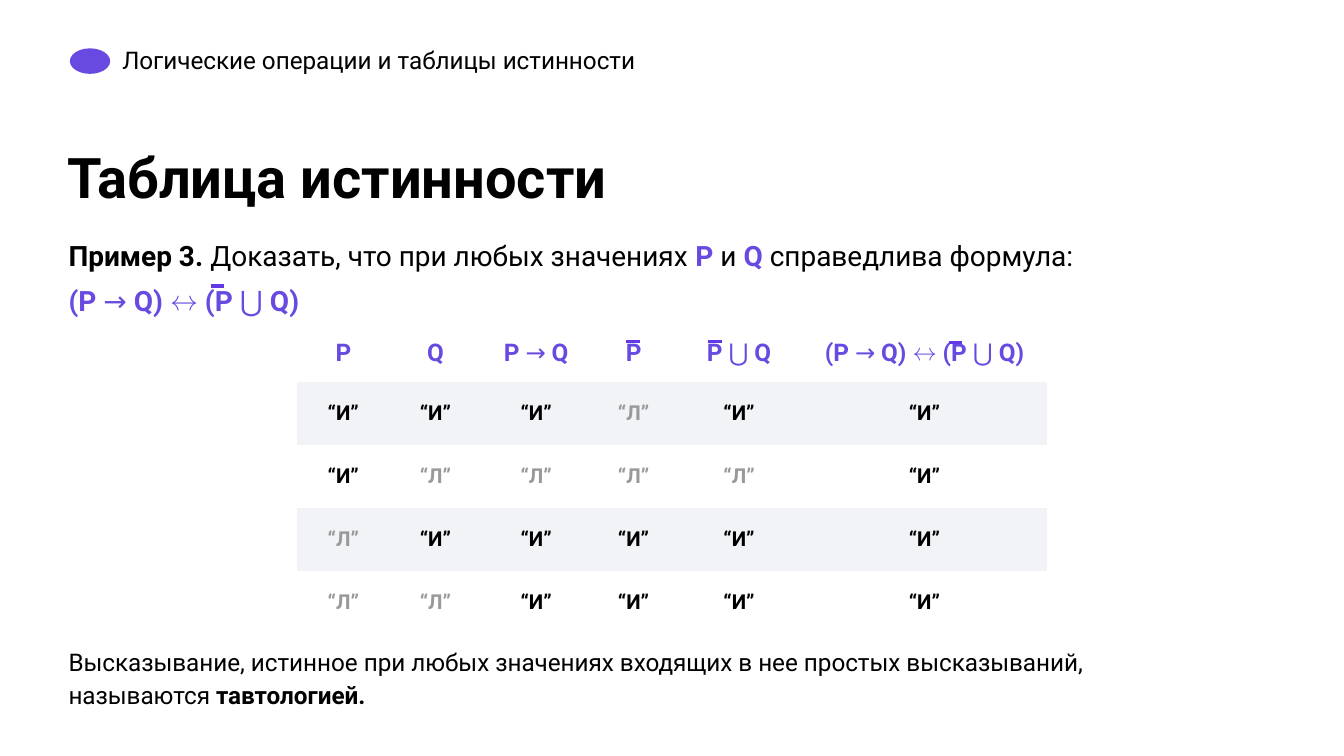
from dataclasses import dataclass
from itertools import groupby

from lxml.etree import SubElement
from pptx import Presentation
from pptx.dml.color import RGBColor
from pptx.enum.shapes import MSO_CONNECTOR, MSO_SHAPE
from pptx.enum.text import MSO_ANCHOR, PP_ALIGN
from pptx.oxml.ns import qn
from pptx.util import Inches, Pt


@dataclass(frozen=True)
class Theme:
    font: str = "Roboto"
    black: RGBColor = RGBColor.from_string("000000")
    violet: RGBColor = RGBColor.from_string("684AE0")
    bar: RGBColor = RGBColor.from_string("6339E6")
    gray: RGBColor = RGBColor.from_string("999999")
    band: RGBColor = RGBColor.from_string("F1F3F7")
    title: int = 30
    lead: int = 15
    text: int = 13
    value: int = 11


theme = Theme()


def formula(text):
    """Split a formula into violet runs: bold letters, regular operators."""
    return [("".join(chars), theme.violet, not is_operator)
            for is_operator, chars in groupby(text, lambda ch: ch in "→↔⋃")]


def write(p, runs, size):
    for text, color, bold in runs:
        r = p.add_run()
        r.text = text
        for name, value in {"name": theme.font, "size": Pt(size), "bold": bold}.items():
            setattr(r.font, name, value)
        r.font.color.rgb = color


prs = Presentation()
prs.slide_width = Inches(10)
prs.slide_height = prs.slide_width * 9 // 16
s = prs.slides.add_slide(prs.slide_layouts[6])

# Plain marker beside the section name
marker = s.shapes.add_shape(MSO_SHAPE.OVAL, Inches(0.52), Inches(0.36), Inches(0.3), Inches(0.19))
marker.shadow.inherit = False
marker.fill.solid()
marker.fill.fore_color.rgb = theme.violet
marker.line.fill.background()

# Text boxes: left, top, width, height, top inset, line spacing, size, paragraphs
equivalence = "(P → Q) ↔ (P ⋃ Q)"
boxes = [
    (0.91, 0.26, 4.19, 0.28, 0.11, 0.85, theme.text,
     [[("Логические операции и таблицы истинности", theme.black, False)]]),
    (0.5, 1.13, 6.79, 0.9, 0.01, 0.85, theme.title,
     [[("Таблица истинности", theme.black, True)]]),
    (0.51, 1.7, 8.58, 0.62, 0.04, 1.15, theme.lead,
     [[("Пример 3. ", theme.black, True),
       ("Доказать, что при любых значениях ", theme.black, False),
       *formula("P"), (" и ", theme.black, False), *formula("Q"),
       (" справедлива формула:", theme.black, False)],
      formula(equivalence)]),
    (0.51, 4.74, 8.58, 0.62, 0.04, 1.15, theme.text,
     [[("Высказывание, истинное при любых значениях входящих в нее простых "
        "высказываний, называются ", theme.black, False),
       ("тавтологией.", theme.black, True)]]),
]
for left, top, width, height, inset, spacing, size, paragraphs in boxes:
    tf = s.shapes.add_textbox(Inches(left), Inches(top), Inches(width), Inches(height)).text_frame
    frame_format = {"word_wrap": True, "vertical_anchor": MSO_ANCHOR.TOP,
                    "margin_left": 0, "margin_right": 0,
                    "margin_top": Inches(inset), "margin_bottom": 0}
    for name, value in frame_format.items():
        setattr(tf, name, value)
    for i, runs in enumerate(paragraphs):
        p = tf.add_paragraph() if i else tf.paragraphs[0]
        p.line_spacing = spacing
        if i:
            p.space_before = Pt(3)
        write(p, runs, size)

# Truth table
headers = ["P", "Q", "P → Q", "P", "P ⋃ Q", equivalence]
values = ["ИИИЛИИ", "ИЛЛЛЛИ", "ЛИИИИИ", "ЛЛИИИИ"]
col_widths = [0.69, 0.68, 0.82, 0.63, 0.94, 1.82]
row_heights = [0.34] + [0.47] * len(values)
table = s.shapes.add_table(len(row_heights), len(col_widths), Inches(2.21), Inches(2.5),
                           Inches(sum(col_widths)), Inches(sum(row_heights))).table
table.first_row = table.horz_banding = False
no_style = "{2D5ABB26-0587-4C30-8999-92F81FD0307C}"
table._tbl.tblPr.find(qn("a:tableStyleId")).text = no_style
for column, width in zip(table.columns, col_widths):
    column.width = Inches(width)
for row, height in zip(table.rows, row_heights):
    row.height = Inches(height)

for i, labels in enumerate([headers, *values]):
    for j, label in enumerate(labels):
        cell = table.cell(i, j)
        cell_format = {"margin_left": 0, "margin_right": 0, "margin_bottom": 0,
                       "margin_top": 0 if i else Inches(0.02),
                       "vertical_anchor": MSO_ANCHOR.MIDDLE if i else MSO_ANCHOR.TOP}
        for name, value in cell_format.items():
            setattr(cell, name, value)
        if i % 2:
            cell.fill.solid()
            cell.fill.fore_color.rgb = theme.band
        else:
            cell.fill.background()
        p = cell.text_frame.paragraphs[0]
        p.alignment = PP_ALIGN.CENTER
        if i:
            color = theme.black if label == "И" else theme.gray
            write(p, [(f"“{label}”", color, True)], theme.value)
        else:
            write(p, formula(label), theme.text)

# Negation bars above P
for left, top, weight in [(1.57, 2.13, 2.25), (4.66, 2.54, 1.5), (5.27, 2.54, 1.5), (7.06, 2.55, 1.5)]:
    bar = s.shapes.add_connector(MSO_CONNECTOR.STRAIGHT, Inches(left), Inches(top),
                                 Inches(left + 0.1), Inches(top))
    bar.line.color.rgb = theme.bar
    bar.line.width = Pt(weight)
    SubElement(bar._element.spPr, qn("a:effectLst"))

prs.save("out.pptx")
